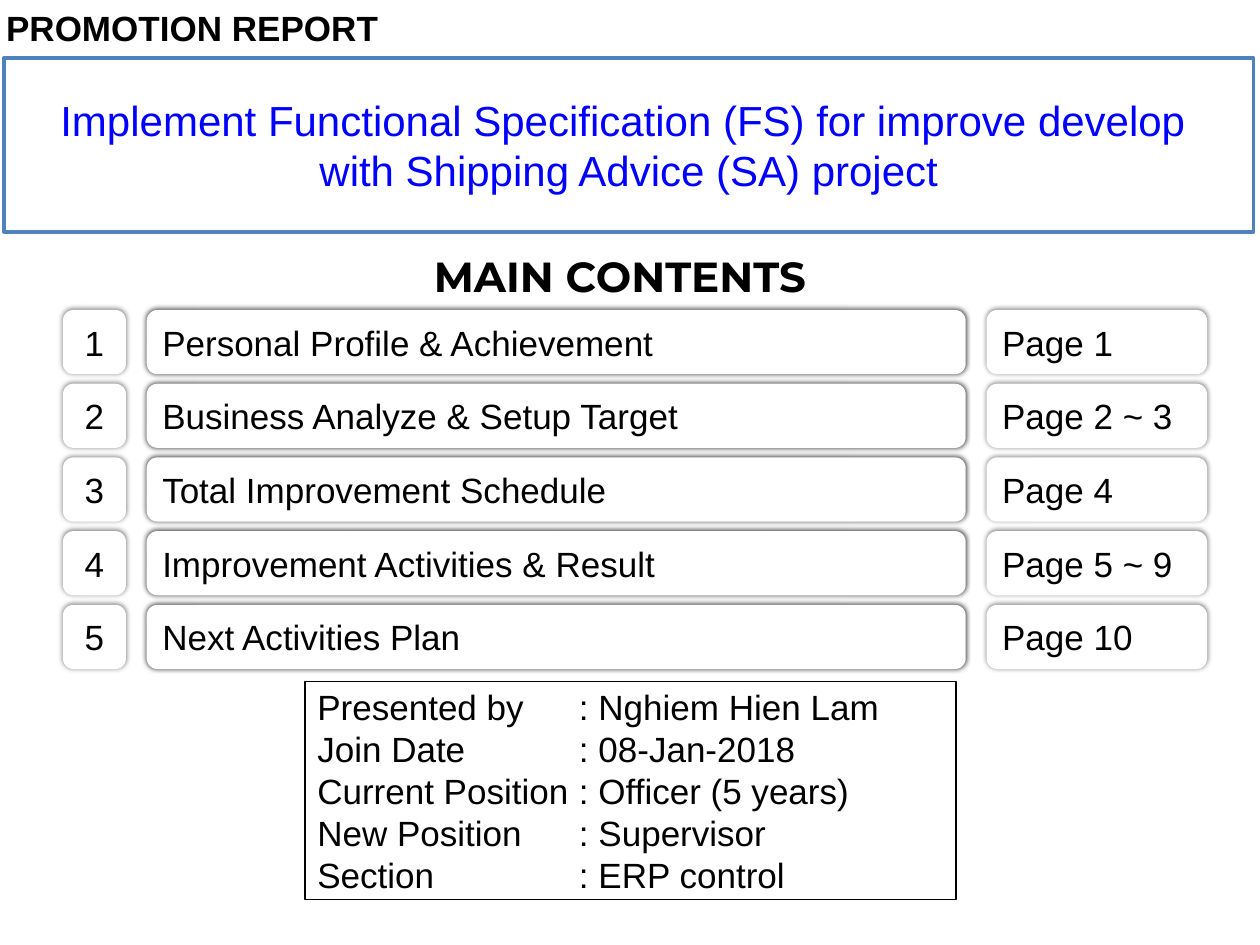
from lxml.etree import SubElement
from pptx import Presentation
from pptx.dml.color import RGBColor
from pptx.enum.shapes import MSO_SHAPE as SHAPE
from pptx.enum.text import MSO_ANCHOR as ANCHOR, PP_ALIGN as ALIGN
from pptx.oxml.ns import qn
from pptx.util import Inches, Pt

BLACK = RGBColor(0x00, 0x00, 0x00)
WHITE = RGBColor(0xFF, 0xFF, 0xFF)
BLUE = RGBColor(0x00, 0x00, 0xFF)
STEEL = RGBColor(0x4F, 0x81, 0xBD)

CONTENTS = [
    ("Personal Profile & Achievement", "Page 1"),
    ("Business Analyze & Setup Target", "Page 2 ~ 3"),
    ("Total Improvement Schedule", "Page 4"),
    ("Improvement Activities & Result", "Page 5 ~ 9"),
    ("Next Activities Plan", "Page 10"),
]
PRESENTER = [
    "Presented by\t : Nghiem Hien Lam",
    "Join Date\t : 08-Jan-2018",
    "Current Position\t : Officer (5 years)",
    "New Position\t : Supervisor",
    "Section\t\t : ERP control",
]


def write(sp, lines, size=20, color=BLACK, align=ALIGN.LEFT, font="Arial",
          bold=False, wrap=True, anchor=ANCHOR.MIDDLE):
    tf = sp.text_frame
    tf.word_wrap = wrap
    tf.vertical_anchor = anchor
    for i, line in enumerate(lines):
        p = tf.add_paragraph() if i else tf.paragraphs[0]
        p.text = line
        p.alignment = align
        p.font.name = font
        p.font.size = Pt(size)
        p.font.bold = bold
        p.font.color.rgb = color


def add_box(s, kind, box, fill=WHITE, line=None, width=1):
    sp = s.shapes.add_shape(kind, *map(Inches, box))
    sp.shadow.inherit = False
    if fill is None:
        sp.fill.background()
    else:
        sp.fill.solid()
        sp.fill.fore_color.rgb = fill
    if line is None:
        sp.line.fill.background()
    else:
        sp.line.color.rgb = line
        sp.line.width = Pt(width)
    return sp


def add_soft_edge(sp, alpha):
    effects = sp._element.spPr.find(qn("a:effectLst"))
    shadow = SubElement(effects, qn("a:outerShdw"), blurRad="38100",
                        dist="6350", dir="16200000", algn="ctr", rotWithShape="0")
    color = SubElement(shadow, qn("a:srgbClr"), val=str(BLACK))
    SubElement(color, qn("a:alpha"), val=str(alpha * 1000))


def add_header(s, box):
    sp = s.shapes.add_textbox(*map(Inches, box))
    write(sp, ["PROMOTION REPORT"], align=ALIGN.CENTER, bold=True, anchor=ANCHOR.TOP)


def add_title(s, box):
    sp = add_box(s, SHAPE.RECTANGLE, box, line=STEEL, width=2)
    write(sp, ["Implement Functional Specification (FS) for improve develop ",
               "with Shipping Advice (SA) project"],
          size=24, color=BLUE, align=ALIGN.CENTER, wrap=False)


def add_heading(s, box):
    sp = add_box(s, SHAPE.ROUNDED_RECTANGLE, box)
    sp.adjustments[0] = 0
    write(sp, ["MAIN CONTENTS"], size=24, align=ALIGN.CENTER,
          font="Montserrat", bold=True, wrap=False)


def add_contents(s, box):
    left, top, width, height = box
    row_height = 0.51
    pitch = (height - row_height) / (len(CONTENTS) - 1)
    number_width, name_width, page_width = 0.5, 6.5, 1.75
    gap = (width - number_width - name_width - page_width) / 2
    name_left = left + number_width + gap
    page_left = name_left + name_width + gap
    for i, (name, page) in enumerate(CONTENTS):
        cells = [
            (left, number_width, str(i + 1), ALIGN.CENTER, 50),
            (name_left, name_width, name, ALIGN.LEFT, 80),
            (page_left, page_width, page, ALIGN.LEFT, 50),
        ]
        for x, w, text, align, alpha in cells:
            sp = add_box(s, SHAPE.ROUNDED_RECTANGLE,
                         (x, top + i * pitch, w, row_height))
            add_soft_edge(sp, alpha)
            write(sp, [text], align=align)


def add_presenter(s, box):
    sp = add_box(s, SHAPE.RECTANGLE, box, fill=None, line=BLACK)
    write(sp, PRESENTER)
    for p in sp.text_frame.paragraphs:
        pPr = p._p.get_or_add_pPr()
        tab_list = pPr.makeelement(qn("a:tabLst"))
        pPr.insert_element_before(tab_list, "a:defRPr", "a:extLst")
        for stop in (1, 2):
            SubElement(tab_list, qn("a:tab"), pos=str(Inches(stop)), algn="l")


def main():
    prs = Presentation()
    prs.slide_width, prs.slide_height = Inches(10), Inches(7.5)
    s = prs.slides.add_slide(prs.slide_layouts[6])
    add_heading(s, (3.42, 1.95, 3, 0.47))
    add_contents(s, (0.5, 2.46, 9.08, 2.85))
    add_presenter(s, (2.42, 5.41, 5.17, 1.73))
    add_title(s, (0.03, 0.46, 9.92, 1.38))
    add_header(s, (-0.17, 0, 3.39, 0.43))
    prs.save("out.pptx")


if __name__ == "__main__":
    main()
